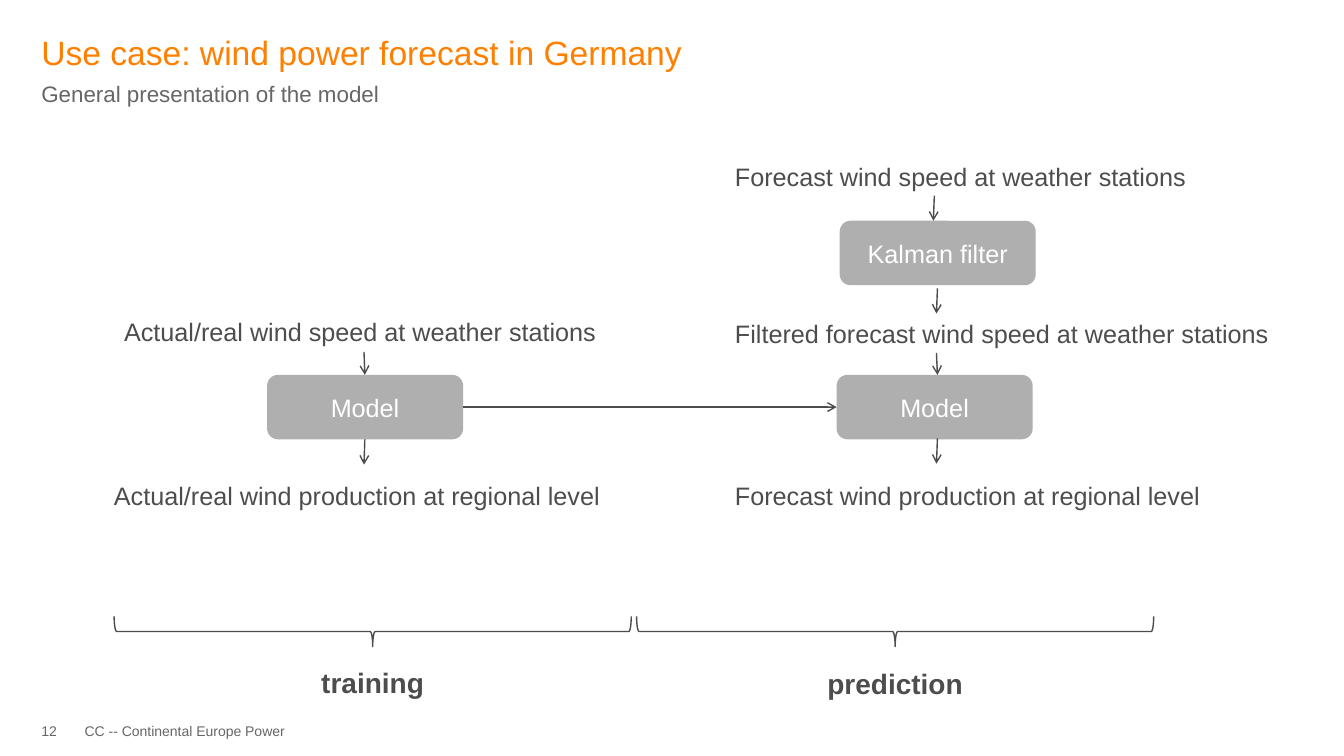
from pptx import Presentation
from pptx.dml.color import RGBColor
from pptx.enum.shapes import MSO_CONNECTOR as Connector, MSO_SHAPE as Shape
from pptx.enum.text import MSO_ANCHOR as Anchor, MSO_AUTO_SIZE as AutoSize, PP_ALIGN as Align
from pptx.oxml.ns import qn
from pptx.util import Pt
from lxml.etree import SubElement

ORANGE = RGBColor(0xFF, 0x80, 0x00)
GREY = RGBColor(0x66, 0x66, 0x66)
DARK = RGBColor(0x4D, 0x4D, 0x4D)
LIGHT = RGBColor(0xAF, 0xAF, 0xAF)
WHITE = RGBColor(0xFF, 0xFF, 0xFF)
FONT = "Arial"
STEP_WIDTH, STEP_HEIGHT = 140, 46


def write(box, text, size=18, color=DARK, bold=False, align=Align.LEFT,
          anchor=Anchor.TOP, spacing=1.0):
    frame = box.text_frame
    frame.auto_size = AutoSize.NONE
    frame.word_wrap = True
    frame.vertical_anchor = anchor
    frame.margin_left = frame.margin_right = frame.margin_top = frame.margin_bottom = 0
    para = frame.paragraphs[0]
    para.alignment = align
    para.line_spacing = spacing
    para.space_before = Pt(0)
    span = para.add_run()
    span.text = text
    span.font.name = FONT
    span.font.size = Pt(size)
    span.font.bold = bold
    span.font.color.rgb = color
    return para


def place(box, left, top, width, height):
    box.left, box.top, box.width, box.height = Pt(left), Pt(top), Pt(width), Pt(height)


def add_text(page, text, left, top, width, height=36, **style):
    box = page.shapes.add_textbox(Pt(left), Pt(top), Pt(width), Pt(height))
    write(box, text, **style)


def add_step(page, text, left, top):
    box = page.shapes.add_shape(Shape.ROUNDED_RECTANGLE, Pt(left), Pt(top),
                                Pt(STEP_WIDTH), Pt(STEP_HEIGHT))
    box.shadow.inherit = False
    box.fill.solid()
    box.fill.fore_color.rgb = LIGHT
    box.line.fill.background()
    write(box, text, color=WHITE, align=Align.CENTER, anchor=Anchor.MIDDLE)


def add_arrow(page, *ends):
    arrow = page.shapes.add_connector(Connector.STRAIGHT, *map(Pt, ends))
    arrow.line.color.rgb = DARK
    arrow.line.width = Pt(1)
    SubElement(arrow.line._get_or_add_ln(), qn("a:tailEnd"), type="arrow")
    SubElement(arrow._element.spPr, qn("a:effectLst"))


def add_phase(page, text, center, label_top):
    width, height = 21.6, 369.4
    brace = page.shapes.add_shape(Shape.RIGHT_BRACE, Pt(center - width / 2),
                                  Pt(266.4), Pt(width), Pt(height))
    brace.rotation = 90
    brace.shadow.inherit = False
    brace.fill.background()
    brace.line.color.rgb = DARK
    brace.line.width = Pt(1)
    add_text(page, text, center - 57, label_top, 114, size=20, bold=True,
             align=Align.CENTER, anchor=Anchor.MIDDLE, spacing=1.5)


def add_heading(page, title, subtitle):
    place(page.shapes.title, 29.5, 23, 810.7, 33.8)
    write(page.shapes.title, title, size=24, color=ORANGE)
    body = page.placeholders[1]
    place(body, 29.5, 56.9, 810.7, 20.9)
    para = write(body, subtitle, size=16, color=GREY)
    properties = para._p.get_or_add_pPr()
    properties.set("marL", "0")
    properties.set("indent", "0")
    SubElement(properties, qn("a:buNone"))


def main():
    deck = Presentation()
    deck.slide_width, deck.slide_height = Pt(960), Pt(540)
    page = deck.slides.add_slide(deck.slide_layouts[1])
    add_heading(page, "Use case: wind power forecast in Germany",
                "General presentation of the model")

    for text, left, top, width in (
        ("Actual/real wind speed at weather stations", 88.6, 215.3, 350),
        ("Actual/real wind production at regional level", 81.4, 332, 360),
        ("Forecast wind speed at weather stations", 525, 104.4, 390),
        ("Filtered forecast wind speed at weather stations", 525, 216.7, 390),
        ("Forecast wind production at regional level", 525, 332, 390),
    ):
        add_text(page, text, left, top, width, spacing=1.5)

    for text, left, top in (
        ("Model", 190.8, 267.8),
        ("Model", 597.6, 267.8),
        ("Kalman filter", 599.8, 157.7),
    ):
        add_step(page, text, left, top)

    for ends in (
        (260, 251.3, 260.6, 267.8),
        (260.6, 313.9, 260, 331.9),
        (330.8, 290.8, 597.6, 290.8),
        (667.4, 139.7, 666.7, 157.7),
        (669.6, 206, 668.9, 224),
        (668.9, 252, 669.6, 267.8),
        (669.6, 313.2, 668.9, 331.2),
    ):
        add_arrow(page, *ends)

    add_phase(page, "training", 266.2, 463.7)
    add_phase(page, "prediction", 639.4, 464.4)

    add_text(page, "12", 29.5, 516.2, 30, 23.8, size=10, color=GREY)
    add_text(page, "CC -- Continental Europe Power", 60.5, 516.2, 419, 23.8,
             size=10, color=GREY)
    deck.save("out.pptx")


if __name__ == "__main__":
    main()
